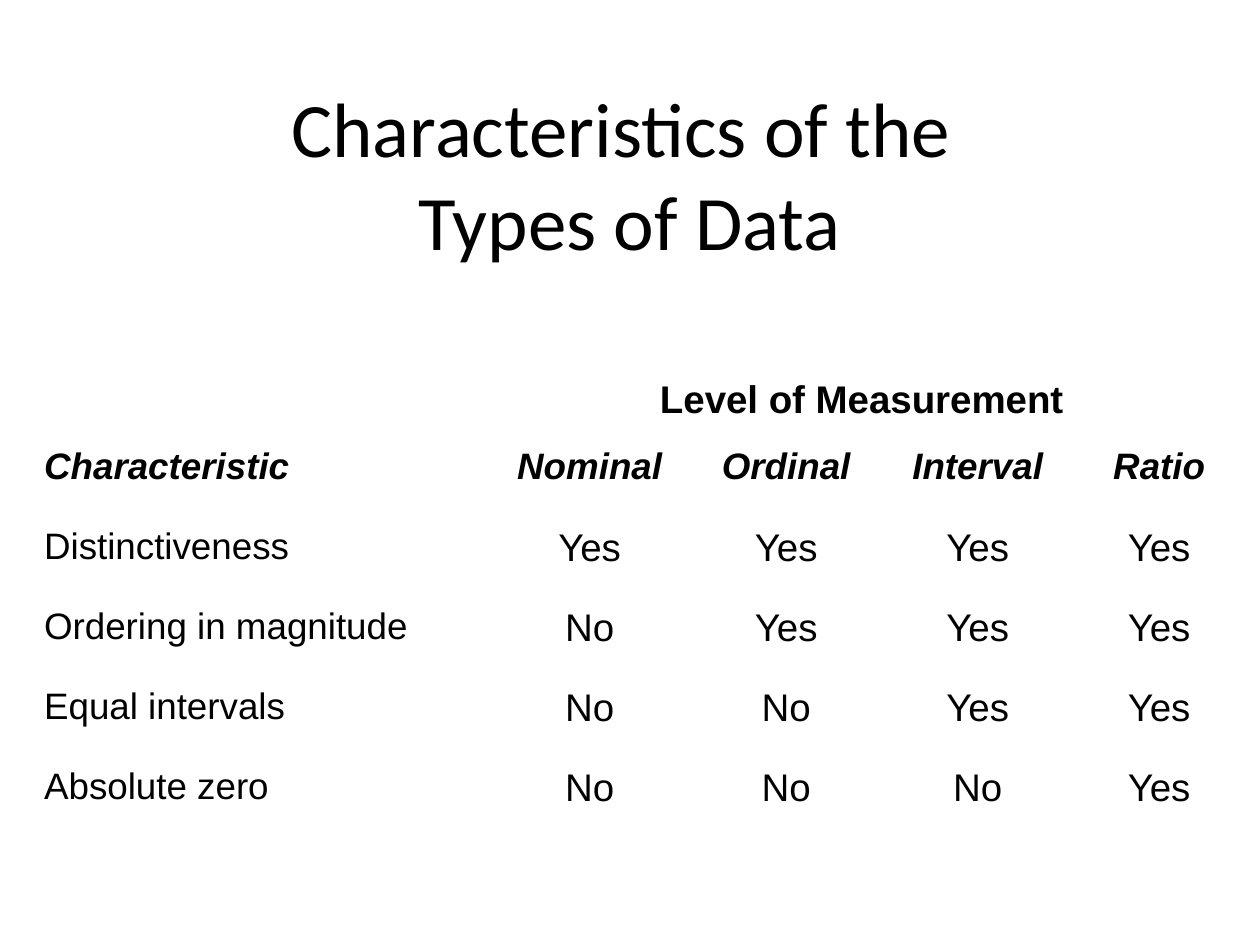
from lxml.etree import SubElement
from pptx import Presentation
from pptx.dml.color import RGBColor
from pptx.enum.text import MSO_ANCHOR as Anchor, PP_ALIGN as Align
from pptx.oxml.ns import qn
from pptx.util import Inches, Pt

WIDTH, HEIGHT = 10, 7.5
BLACK, WHITE = "000000", "FFFFFF"
COLUMN_WIDTHS = [3.59, 1.68, 1.44, 1.6, 1.28]
HEADINGS = ["Characteristic", "Nominal", "Ordinal", "Interval", "Ratio"]
CHARACTERISTICS = ["Distinctiveness", "Ordering in magnitude", "Equal intervals", "Absolute zero"]


def color(hex_code):
    """Turn a hex string into a colour."""
    return RGBColor.from_string(hex_code)


def write(frame, text, size, font="Arial", ink=BLACK, bold=False, italic=False,
          align=Align.CENTER, before=0):
    """Put one formatted paragraph into a text frame."""
    paragraph = frame.paragraphs[0]
    paragraph.text = text
    paragraph.alignment = align
    paragraph.space_before = Pt(before)
    for run in paragraph.runs:
        run.font.name, run.font.size = font, Pt(size)
        run.font.bold, run.font.italic = bold, italic
        run.font.color.rgb = color(ink)


def draw_borders(cell, widths):
    """Draw white cell borders, given the width of each side in points."""
    properties = cell._tc.get_or_add_tcPr()
    for side, width in widths.items():
        line = SubElement(properties, qn(f"a:ln{side}"), w=str(Pt(width)))
        fill = SubElement(line, qn("a:solidFill"))
        SubElement(fill, qn("a:srgbClr"), val=WHITE)


def add_title(slide, left, top, width, height):
    """Place the two-line title in its box."""
    frame = slide.shapes.add_textbox(*map(Inches, (left, top, width, height))).text_frame
    frame.word_wrap = True
    frame.vertical_anchor = Anchor.MIDDLE
    write(frame, "Characteristics of the \vTypes of Data", 44, font="Calibri")


def add_levels_table(slide, left, top, width, height):
    """Place the table of characteristics against levels of measurement."""
    row_count, column_count = len(CHARACTERISTICS) + 2, len(HEADINGS)
    box = map(Inches, (left, top, width, height))
    table = slide.shapes.add_table(row_count, column_count, *box).table
    table.first_row = table.horz_banding = False
    for column, share in zip(table.columns, COLUMN_WIDTHS):
        column.width = Inches(width * share / sum(COLUMN_WIDTHS))

    for r in range(row_count):
        for c in range(column_count):
            cell = table.cell(r, c)
            outer = {"L": c == 0, "R": c == column_count - 1,
                     "T": r == 0, "B": r == row_count - 1}
            draw_borders(cell, {side: 1.08 if edge else 0.45 for side, edge in outer.items()})
            cell.fill.background()

    level_heading = table.cell(0, 1)
    level_heading.merge(table.cell(0, column_count - 1))
    level_heading.vertical_anchor = Anchor.MIDDLE
    write(level_heading.text_frame, "Level of Measurement", 22, bold=True, before=5.5)

    for c, heading in enumerate(HEADINGS):
        write(table.cell(1, c).text_frame, heading, 21, bold=True, italic=True,
              align=Align.CENTER if c else Align.LEFT, before=5.2)
    for rank, characteristic in enumerate(CHARACTERISTICS, start=1):
        write(table.cell(rank + 1, 0).text_frame, characteristic, 21, align=Align.LEFT, before=5.2)
        for level in range(1, column_count):
            answer = "Yes" if level >= rank else "No"
            write(table.cell(rank + 1, level).text_frame, answer, 22, before=5.5)


def main():
    """Build and save the slide."""
    deck = Presentation()
    deck.slide_width, deck.slide_height = Inches(WIDTH), Inches(HEIGHT)
    slide = deck.slides.add_slide(deck.slide_layouts[6])
    add_levels_table(slide, 0.25, 2.86, sum(COLUMN_WIDTHS), 3.81)
    add_title(slide, 0.075 * WIDTH, 0.1 * HEIGHT, 0.85 * WIDTH, HEIGHT / 6)
    deck.save("out.pptx")


if __name__ == "__main__":
    main()
